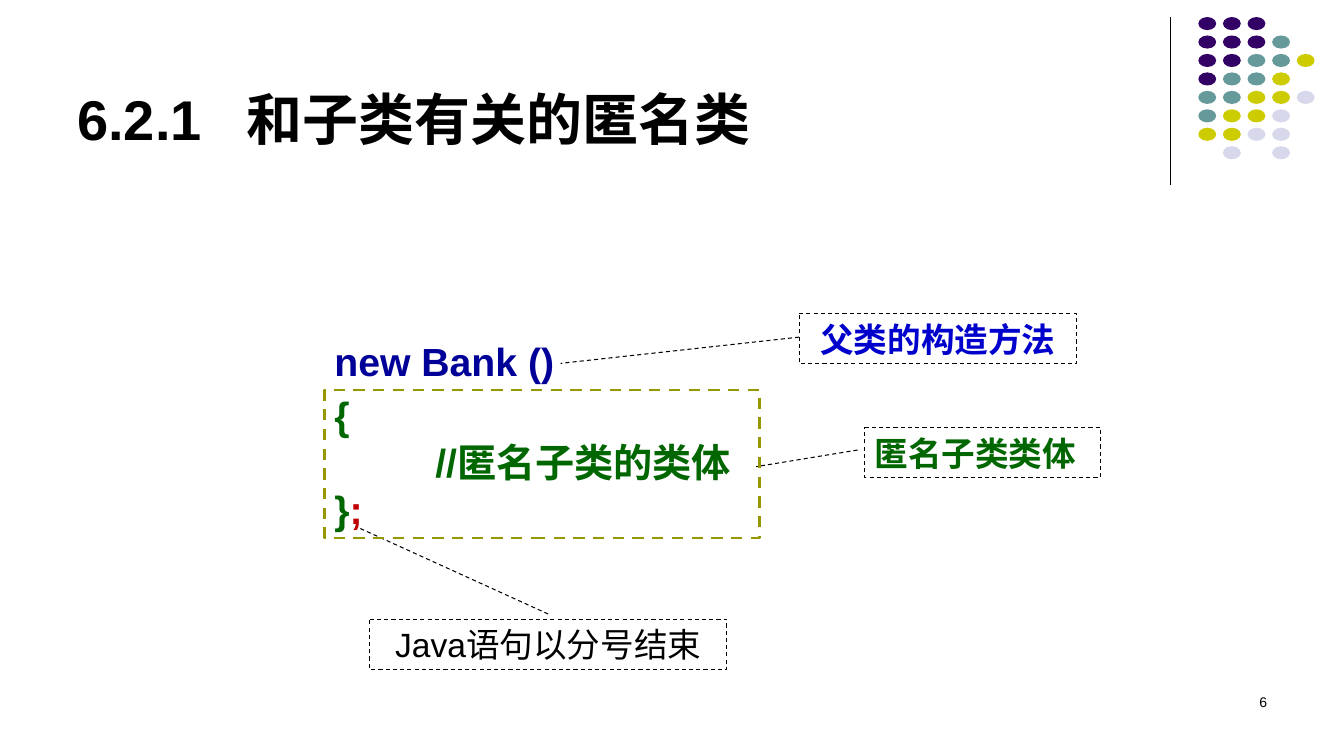
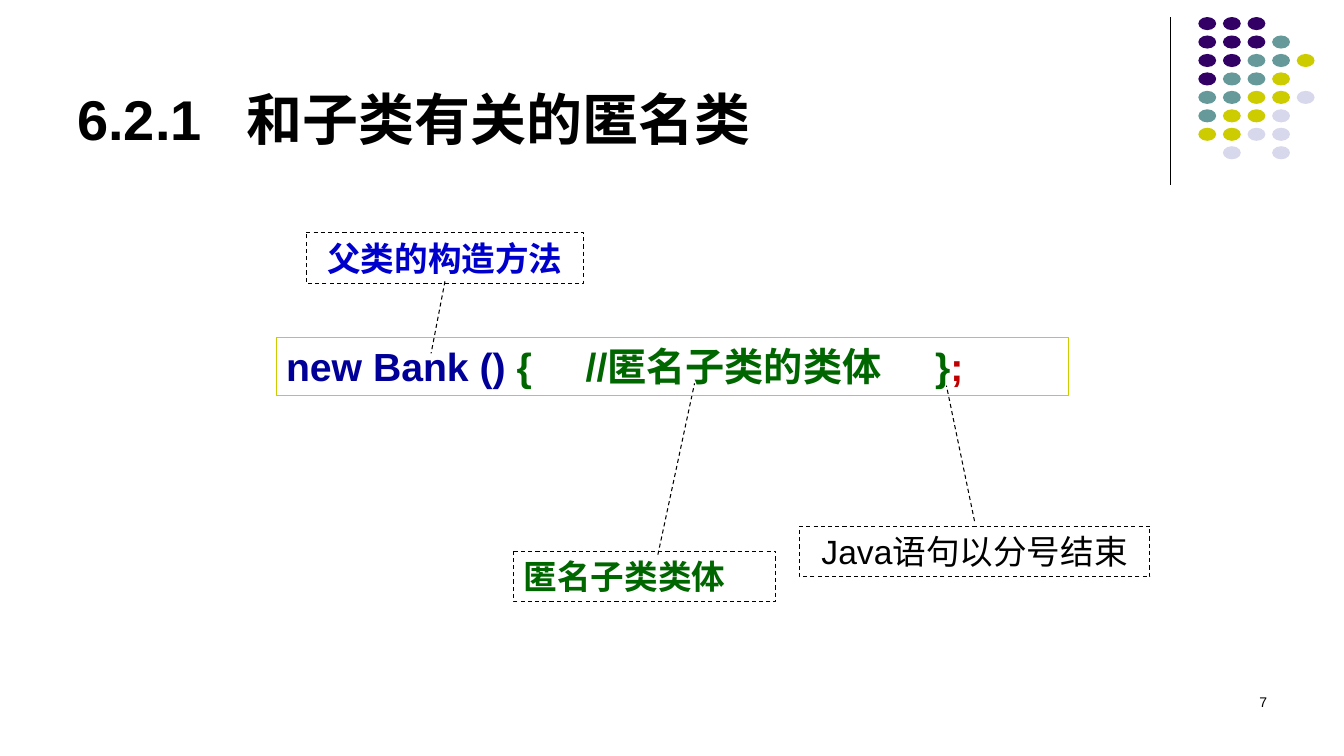
from dataclasses import dataclass
from typing import Optional

from lxml import etree
from pptx import Presentation
from pptx import util as u
from pptx.dml import color
from pptx.enum import dml, shapes, text
from pptx.oxml import ns


# Theme: colours, type sizes and fonts
@dataclass(frozen=True)
class Theme:
    black: str = "000000"
    navy: str = "000099"
    blue: str = "0000CC"
    green: str = "006600"
    red: str = "C00000"
    olive: str = "979700"
    yellow: str = "CCCC00"
    purple: str = "330066"
    teal: str = "669999"
    lavender: str = "D8D8EC"
    title_size: int = 40
    code_size: int = 28
    label_size: int = 24
    number_size: int = 10
    latin: str = "Arial"
    chinese: str = "Noto Sans CJK SC"


THEME = Theme()
DOT_ROWS = ("PPP", "PPPT", "PPTTY", "PTTY", "TTYYL", "TYYL", "YYLL", " L L")
DOT_COLOURS = {"P": THEME.purple, "T": THEME.teal, "Y": THEME.yellow, "L": THEME.lavender}


# Descriptions of the repeated elements; all lengths are centimetres
@dataclass(frozen=True)
class Span:
    words: str
    colour: str = THEME.black
    bold: bool = True


@dataclass(frozen=True)
class Box:
    left: float
    top: float
    width: float
    height: float
    lines: tuple[tuple[Span, ...], ...] = ()
    size: int = THEME.code_size
    align: text.PP_ALIGN = text.PP_ALIGN.LEFT
    anchor: text.MSO_ANCHOR = text.MSO_ANCHOR.TOP
    tabs: tuple[float, ...] = ()
    wrap: bool = True


@dataclass(frozen=True)
class Label:
    span: Span
    align: text.PP_ALIGN


@dataclass(frozen=True)
class Callout:
    label: Label
    left: float
    top: float
    width: float
    leader: tuple[float, float, float, float]  # start y, x and end y, x as shares of the box


PARENT = Label(Span("父类的构造方法", THEME.blue), text.PP_ALIGN.CENTER)
BODY = Label(Span("匿名子类类体", THEME.green), text.PP_ALIGN.LEFT)
SEMICOLON = Label(Span("Java语句以分号结束", bold=False), text.PP_ALIGN.CENTER)


# Text
def write(frame, box: Box) -> None:
    frame.word_wrap = box.wrap
    frame.vertical_anchor = box.anchor
    for index, line in enumerate(box.lines):
        para = frame.paragraphs[0] if index == 0 else frame.add_paragraph()
        para.alignment = box.align
        if box.tabs:
            stops = etree.SubElement(para._p.get_or_add_pPr(), ns.qn("a:tabLst"))
            for stop in box.tabs:
                etree.SubElement(stops, ns.qn("a:tab"), pos=str(u.Cm(stop)), algn="l")
        for span in line:
            run = para.add_run()
            run.text = span.words
            run.font.size = u.Pt(box.size)
            run.font.bold = span.bold
            run.font.name = THEME.latin
            run.font.color.rgb = color.RGBColor.from_string(span.colour)
            etree.SubElement(run._r.get_or_add_rPr(), ns.qn("a:ea"), typeface=THEME.chinese)


def add_text(page, box: Box) -> None:
    place = map(u.Cm, (box.left, box.top, box.width, box.height))
    write(page.shapes.add_textbox(*place).text_frame, box)


# Shapes
def add_outline(page, box: Box, colour: str, weight: float = 0.75, dashed: bool = False,
                kind=shapes.MSO_SHAPE.RECTANGLE):
    place = map(u.Cm, (box.left, box.top, box.width, box.height))
    shape = page.shapes.add_shape(kind, *place)
    shape.shadow.inherit = False
    shape.fill.background()
    shape.line.color.rgb = color.RGBColor.from_string(colour)
    shape.line.width = u.Pt(weight)
    if dashed:
        shape.line.dash_style = dml.MSO_LINE.DASH
    write(shape.text_frame, box)
    return shape


def add_callout(page, callout: Callout) -> None:
    box = Box(callout.left, callout.top, callout.width, 1.27, ((callout.label.span,),),
              THEME.label_size, callout.label.align, text.MSO_ANCHOR.MIDDLE)
    shape = add_outline(page, box, THEME.black, dashed=True,
                        kind=shapes.MSO_SHAPE.LINE_CALLOUT_1)
    for index, share in enumerate(callout.leader):
        shape.adjustments[index] = share


def add_dots(page) -> None:
    for row, marks in enumerate(DOT_ROWS):
        for column, mark in enumerate(marks):
            if mark not in DOT_COLOURS:
                continue
            dot = page.shapes.add_shape(
                shapes.MSO_SHAPE.OVAL, u.Cm(30.2 + 0.62 * column),
                u.Cm(0.43 + 0.465 * row), u.Cm(0.45), u.Cm(0.33))
            dot.shadow.inherit = False
            dot.fill.solid()
            dot.fill.fore_color.rgb = color.RGBColor.from_string(DOT_COLOURS[mark])
            dot.line.fill.background()


# Parts shared by the slides
def add_page(deck, number: int, callouts: tuple[Callout, ...]):
    page = deck.slides.add_slide(deck.slide_layouts[6])
    rule = page.shapes.add_connector(shapes.MSO_CONNECTOR.STRAIGHT,
                                     u.Cm(29.49), u.Cm(0.43), u.Cm(29.49), u.Cm(4.65))
    rule.line.color.rgb = color.RGBColor.from_string(THEME.black)
    rule.line.width = u.Pt(0.75)
    etree.SubElement(rule._element.spPr, ns.qn("a:effectLst"))
    add_dots(page)
    add_text(page, Box(1.7, 0.33, 27.94, 3.61, ((Span("6.2.1\t"), Span("和子类有关的匿名类")),),
                       THEME.title_size, anchor=text.MSO_ANCHOR.BOTTOM, tabs=(4.27,)))
    add_text(page, Box(24.28, 17.35, 7.9, 1.27, ((Span(str(number), bold=False),),),
                       THEME.number_size, text.PP_ALIGN.RIGHT))
    for callout in callouts:
        add_callout(page, callout)
    return page


# Slide with the code on several lines
def build_block_page(deck: Presentation) -> None:
    page = add_page(deck, 6, (
        Callout(BODY, 21.79, 10.77, 5.94, (0.45, -0.03, 0.78, -0.46)),
        Callout(PARENT, 20.14, 7.9, 6.99, (0.47, 0, 0.99, -0.86)),
        Callout(SEMICOLON, 9.32, 15.6, 8.99, (-0.1, 0.5, -1.84, -0.04)),
    ))
    add_text(page, Box(8.18, 9.73, 13.18, 3.84, (
        (Span("{", THEME.green),),
        (Span("\t//匿名子类的类体", THEME.green),),
        (Span("}", THEME.green), Span(";", THEME.red)),
    ), tabs=(2.54,)))
    add_text(page, Box(8.18, 8.38, 6.32, 1.45, ((Span("new Bank ()", THEME.navy),),), wrap=False))
    add_outline(page, Box(8.18, 9.83, 10.97, 3.73), THEME.olive, 2, dashed=True)


# Slide with the code on one line
def build_line_page(deck: Presentation) -> None:
    page = add_page(deck, 7, (
        Callout(BODY, 12.95, 13.89, 6.6, (0.07, 0.55, -3.33, 0.69)),
        Callout(PARENT, 7.72, 5.87, 6.99, (0.96, 0.5, 2.39, 0.45)),
        Callout(SEMICOLON, 20.14, 13.26, 8.84, (-0.1, 0.5, -2.79, 0.42)),
    ))
    code = (Span("new Bank () ", THEME.navy), Span("{\t//匿名子类的类体\t}", THEME.green),
            Span(";", THEME.red))
    add_outline(page, Box(6.96, 8.51, 19.96, 1.45, (code,), tabs=(7.55, 16.36)), THEME.yellow)


def main() -> None:
    deck = Presentation()
    deck.slide_width, deck.slide_height = u.Cm(33.87), u.Cm(19.05)
    build_block_page(deck)
    build_line_page(deck)
    deck.save("out.pptx")


if __name__ == "__main__":
    main()
